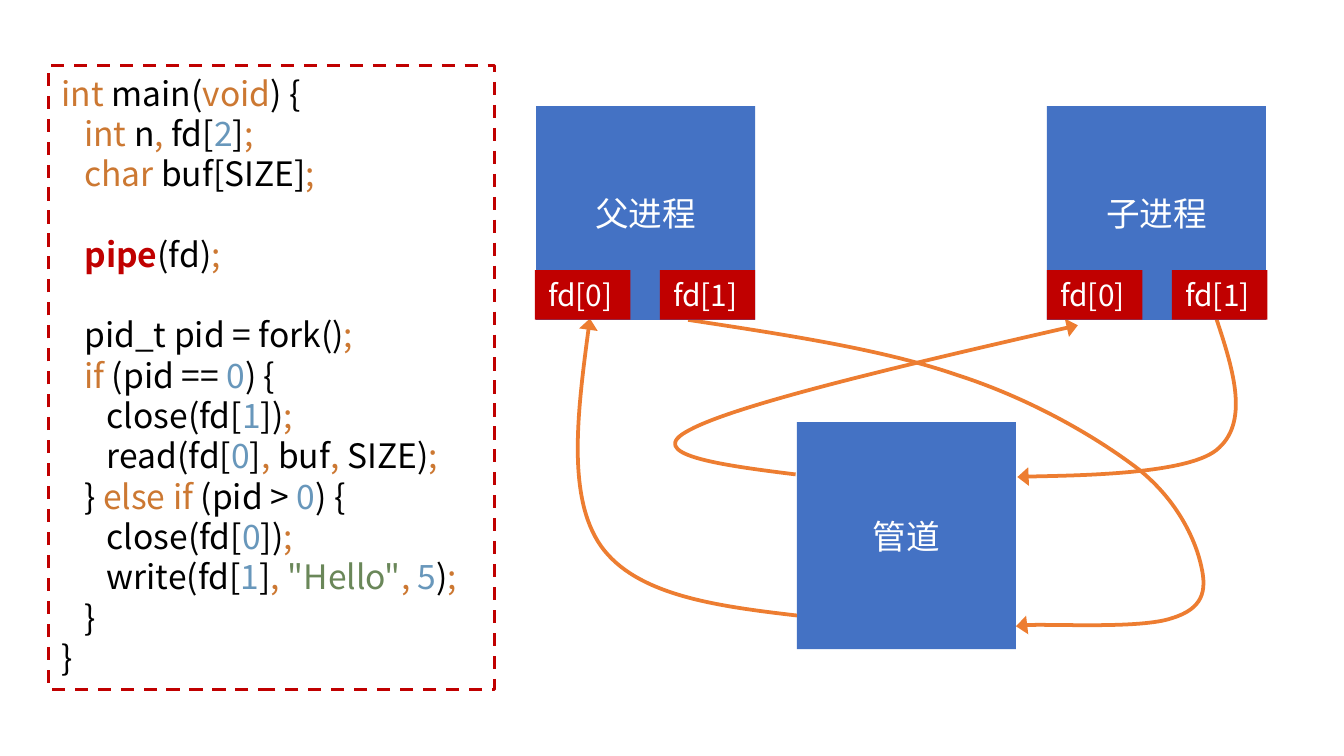
from dataclasses import dataclass

from lxml import etree
from pptx import Presentation
from pptx.dml.color import RGBColor
from pptx.enum.dml import MSO_LINE
from pptx.enum.shapes import MSO_SHAPE
from pptx.enum.text import MSO_ANCHOR, MSO_AUTO_SIZE, PP_ALIGN
from pptx.oxml.ns import qn
from pptx.util import Inches, Pt

RECTANGLE = MSO_SHAPE.RECTANGLE
DASH = MSO_LINE.DASH
TOP, MIDDLE = MSO_ANCHOR.TOP, MSO_ANCHOR.MIDDLE
LEFT, CENTER = PP_ALIGN.LEFT, PP_ALIGN.CENTER
GROW = MSO_AUTO_SIZE.SHAPE_TO_FIT_TEXT

FONT = "Noto Sans CJK SC"
COLORS = {
    "block": "4472C4",
    "descriptor": "C00000",
    "flow": "ED7D31",
    "white": "FFFFFF",
    "plain": "000000",
    "keyword": "CC7832",
    "number": "6897BB",
    "string": "6A8759",
    "call": "C00000",
}


@dataclass
class Block:
    label: str
    left: float
    top: float
    height: float
    width: float = 1.63


@dataclass
class Process:
    block: Block
    descriptors_left: float


@dataclass
class Flow:
    """A curve inside its box: a start point, then cubic segments."""
    box: tuple[float, float, float, float]
    start: tuple[float, float]
    segments: list[tuple[float, ...]]


P, K, N, S, C = "plain", "keyword", "number", "string", "call"
SEMICOLON = (K, ";")
CODE = [
    [(K, "int "), (P, "main("), (K, "void"), (P, ") {")],
    [(K, "   int "), (P, "n"), (K, ", "), (P, "fd["), (N, "2"), (P, "]"), SEMICOLON],
    [(K, "   char "), (P, "buf[SIZE]"), SEMICOLON],
    [],
    [(C, "   pipe"), (P, "(fd)"), SEMICOLON],
    [],
    [(P, "   pid_t pid = fork()"), SEMICOLON],
    [(K, "   if "), (P, "(pid == "), (N, "0"), (P, ") {")],
    [(P, "      close(fd["), (N, "1"), (P, "])"), SEMICOLON],
    [(P, "      read(fd["), (N, "0"), (P, "]"), (K, ", "), (P, "buf"), (K, ", "),
     (P, "SIZE)"), SEMICOLON],
    [(P, "   } "), (K, "else if "), (P, "(pid > "), (N, "0"), (P, ") {")],
    [(P, "      close(fd["), (N, "0"), (P, "])"), SEMICOLON],
    [(P, "      write(fd["), (N, "1"), (P, "]"), (K, ", "), (S, '"Hello"'), (K, ", "),
     (N, "5"), (P, ")"), SEMICOLON],
    [(P, "   }")],
    [(P, "}")],
]

PIPE = Block("管道", 5.93, 3.14, 1.69)
PROCESSES = [
    Process(Block("父进程", 3.99, 0.79, 1.59), 3.98),
    Process(Block("子进程", 7.79, 0.79, 1.59), 7.79),
]
DESCRIPTOR_TOP, DESCRIPTOR_STEP = 2.01, 0.93
DESCRIPTOR_WIDTH, DESCRIPTOR_HEIGHT = 0.71, 0.37

FLOWS = [
    # Parent fd[1] to pipe
    Flow((5.12, 2.38, 3.83, 2.28), (5.12, 2.38), [
        (5.84, 2.49, 6.57, 2.6, 7.12, 2.79),
        (7.68, 2.97, 8.17, 3.26, 8.47, 3.49),
        (8.77, 3.73, 8.9, 4.03, 8.94, 4.22),
        (8.98, 4.4, 8.95, 4.53, 8.72, 4.6),
        (8.49, 4.68, 7.61, 4.63, 7.56, 4.66)]),
    # Pipe to parent fd[0]
    Flow((4.3, 2.37, 1.63, 2.21), (5.93, 4.58), [
        (5.33, 4.51, 4.73, 4.43, 4.47, 4.06),
        (4.22, 3.7, 4.3, 3.03, 4.39, 2.37)]),
    # Child fd[1] to pipe
    Flow((7.57, 2.37, 1.63, 1.17), (9.05, 2.37), [
        (9.18, 2.76, 9.3, 3.15, 9.05, 3.35),
        (8.81, 3.54, 7.69, 3.54, 7.57, 3.55)]),
    # Pipe to child fd[0]
    Flow((5.02, 2.42, 3, 1.12), (5.92, 3.53), [
        (5.35, 3.46, 4.78, 3.38, 5.13, 3.2),
        (5.48, 3.01, 6.75, 2.71, 8.02, 2.42)]),
]


def rgb(role: str) -> RGBColor:
    return RGBColor.from_string(COLORS[role])


def style_run(run, role: str, size: float) -> None:
    run.font.size = Pt(size)
    run.font.color.rgb = rgb(role)
    run.font.name = FONT
    etree.SubElement(run.font._element, qn("a:ea"), typeface=FONT)


def add_rectangle(slide, left: float, top: float, width: float, height: float):
    shape = slide.shapes.add_shape(
        RECTANGLE, Inches(left), Inches(top), Inches(width), Inches(height))
    shape.shadow.inherit = False
    return shape


def add_label(slide, block: Block, fill: str, size: float, align, anchor):
    shape = add_rectangle(slide, block.left, block.top, block.width, block.height)
    shape.fill.solid()
    shape.fill.fore_color.rgb = rgb(fill)
    shape.line.fill.background()
    frame = shape.text_frame
    frame.text = block.label
    frame.vertical_anchor = anchor
    frame.paragraphs[0].alignment = align
    style_run(frame.paragraphs[0].runs[0], "white", size)
    return shape


def add_process(slide, process: Process) -> None:
    add_label(slide, process.block, "block", 18, CENTER, MIDDLE)
    for index in range(2):
        left = process.descriptors_left + index * DESCRIPTOR_STEP
        descriptor = Block(f"fd[{index}]", left, DESCRIPTOR_TOP,
                           DESCRIPTOR_HEIGHT, DESCRIPTOR_WIDTH)
        tag = add_label(slide, descriptor, "descriptor", 16, LEFT, TOP)
        tag.text_frame.word_wrap = False
        tag.text_frame.auto_size = GROW


def add_flow(slide, flow: Flow) -> None:
    left, top, width, height = flow.box
    builder = slide.shapes.build_freeform(Inches(left), Inches(top))
    builder.add_line_segments([(Inches(left + width), Inches(top + height))], close=False)
    shape = builder.convert_to_shape()
    shape.shadow.inherit = False
    shape.fill.background()
    shape.line.color.rgb = rgb("flow")
    shape.line.width = Pt(2)
    etree.SubElement(shape.line._get_or_add_ln(), qn("a:tailEnd"),
                     type="triangle", w="lg", len="med")

    # Replace the box diagonal with cubic segments
    path = shape._element.find(".//" + qn("a:path"))
    for child in list(path):
        path.remove(child)
    steps = [("a:moveTo", flow.start)] + [("a:cubicBezTo", s) for s in flow.segments]
    for tag, values in steps:
        step = etree.SubElement(path, qn(tag))
        for x, y in zip(values[::2], values[1::2]):
            etree.SubElement(step, qn("a:pt"),
                             x=str(Inches(x - left)), y=str(Inches(y - top)))


def add_code(slide) -> None:
    panel = add_rectangle(slide, 0.36, 0.49, 3.32, 4.64)
    panel.fill.background()
    panel.line.color.rgb = rgb("descriptor")
    panel.line.width = Pt(1.75)
    panel.line.dash_style = DASH
    frame = panel.text_frame
    frame.word_wrap = True
    frame.auto_size = GROW
    frame.vertical_anchor = TOP
    paragraph = frame.paragraphs[0]
    paragraph.alignment = LEFT
    for number, line in enumerate(CODE):
        if number:
            paragraph.add_line_break()
        for role, text in line:
            run = paragraph.add_run()
            run.text = text
            style_run(run, role, 18)
            run.font.bold = role == C


def main() -> None:
    prs = Presentation()
    prs.slide_width = Inches(10)
    prs.slide_height = prs.slide_width * 9 // 16
    slide = prs.slides.add_slide(prs.slide_layouts[6])

    # Code listing
    add_code(slide)

    # Pipe, data flows and processes
    add_label(slide, PIPE, "block", 18, CENTER, MIDDLE)
    for flow in FLOWS:
        add_flow(slide, flow)
    for process in PROCESSES:
        add_process(slide, process)

    prs.save("out.pptx")


if __name__ == "__main__":
    main()
